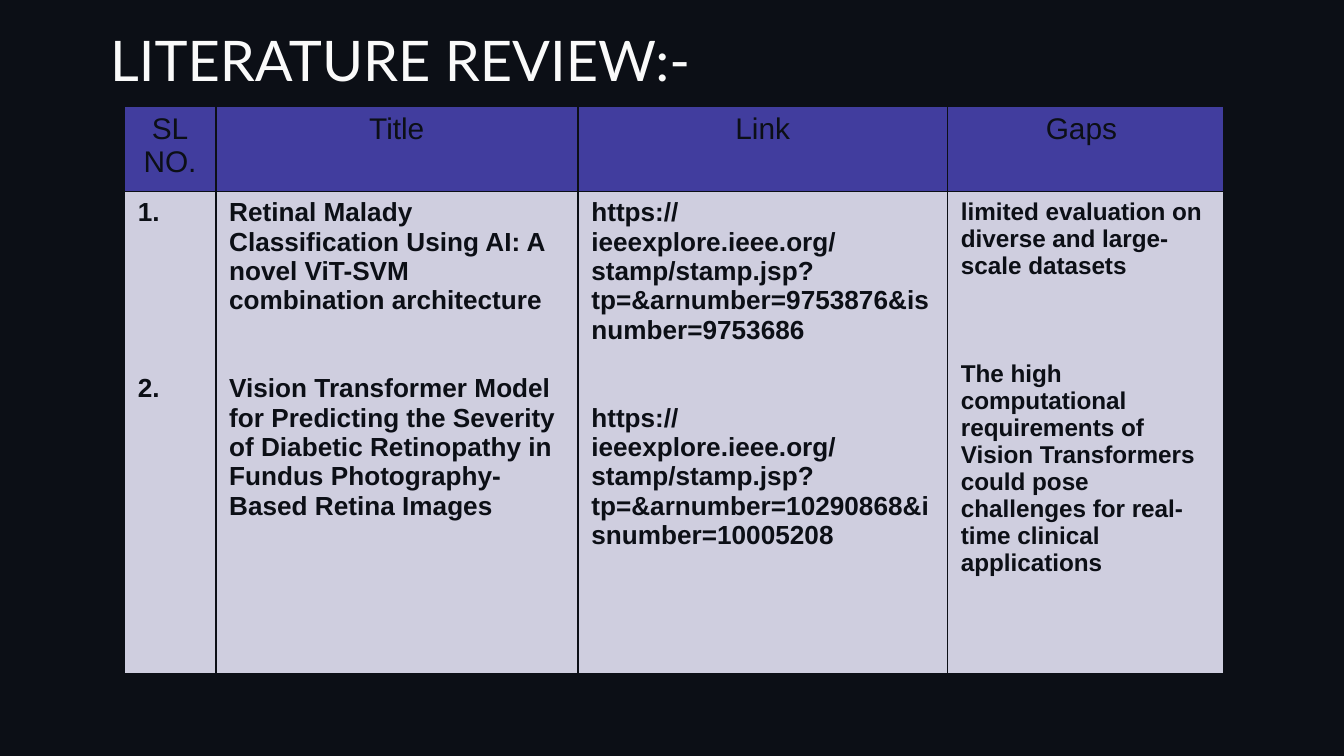
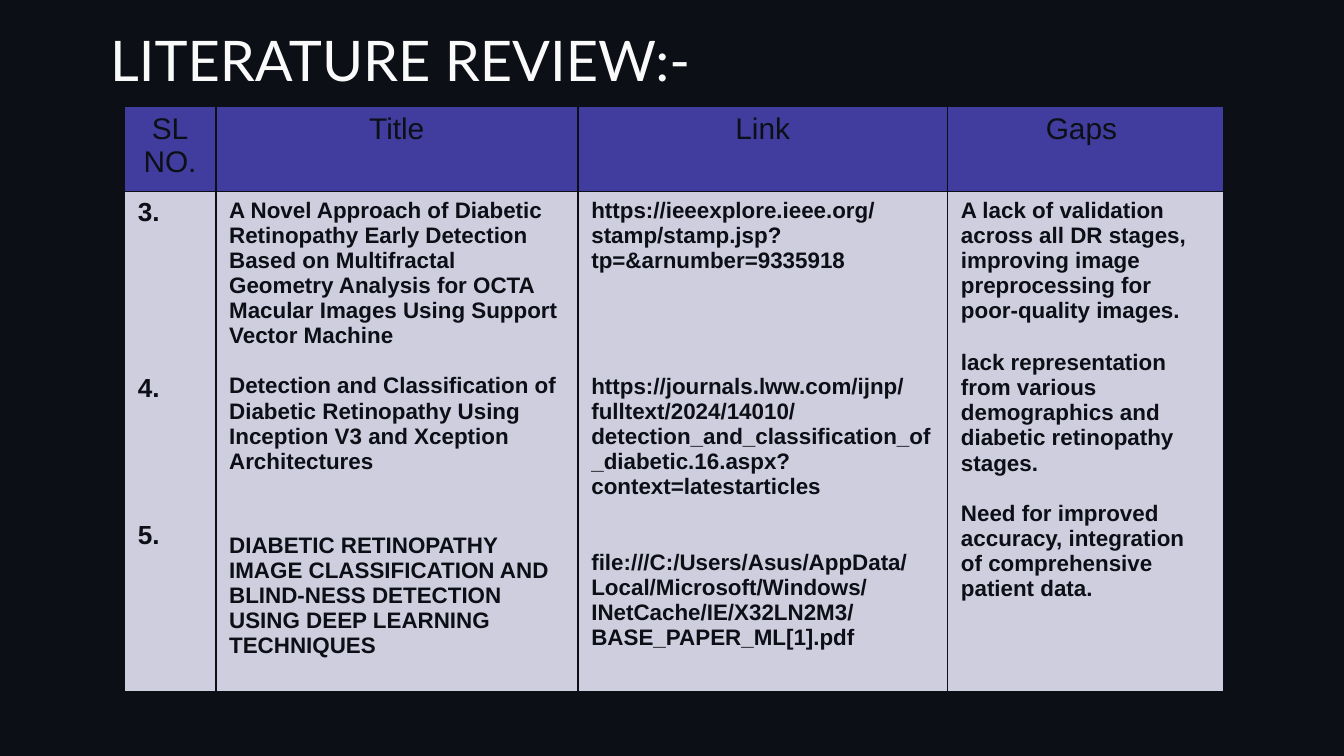
from lxml import etree
from pptx import Presentation
from pptx.dml.color import RGBColor
from pptx.enum import text
from pptx.oxml import ns
from pptx import util as u

WIDTH = u.Inches(10)
HEIGHT = u.Emu(WIDTH * 9 // 16)
NIGHT = RGBColor(0x0C, 0x0F, 0x16)
WHITE = RGBColor(0xFA, 0xFA, 0xFA)
INDIGO = RGBColor(0x41, 0x3D, 0x9E)
LILAC = RGBColor(0xCF, 0xCE, 0xDF)

HEADING = "LITERATURE REVIEW:-"
HEADERS = ["SL\nNO.", "Title", "Link", "Gaps "]
COLUMNS = [6.8, 26.95, 27.5, 20.55]
HEADER_ROW = 10.5

FIRST_PAPERS = [
    (14, [(0, "1."), (78.6, "2.")]),
    (14, [
        (0, "Retinal Malady Classification Using AI: A novel ViT-SVM "
            "combination architecture"),
        (31.4, "Vision Transformer Model for Predicting the Severity of Diabetic "
               "Retinopathy in Fundus Photography-Based Retina Images"),
    ]),
    (14, [
        (0, "https://ieeexplore.ieee.org/stamp/stamp.jsp?"
            "tp=&arnumber=9753876&isnumber=9753686"),
        (31.4, "https://ieeexplore.ieee.org/stamp/stamp.jsp?"
               "tp=&arnumber=10290868&isnumber=10005208"),
    ]),
    (13, [
        (0, "limited evaluation on diverse and large-scale datasets"),
        (43.4, "The high computational requirements of Vision Transformers could "
               "pose challenges for real-time clinical applications"),
    ]),
]
LATER_PAPERS = [
    (14, [(0, "3."), (78.6, "4."), (63, "5.")]),
    (12, [
        (0, "A Novel Approach of Diabetic Retinopathy Early Detection Based on "
            "Multifractal Geometry Analysis for OCTA Macular Images Using Support "
            "Vector Machine"),
        (13.4, "Detection and Classification of Diabetic Retinopathy Using "
               "Inception V3 and Xception Architectures"),
        (31.5, "DIABETIC RETINOPATHY IMAGE CLASSIFICATION AND BLIND-NESS "
               "DETECTION USING DEEP LEARNING TECHNIQUES"),
    ]),
    (12, [
        (0, "https://ieeexplore.ieee.org/stamp/stamp.jsp?tp=&arnumber=9335918"),
        (54, "https://journals.lww.com/ijnp/fulltext/2024/14010/"
             "detection_and_classification_of_diabetic.16.aspx?"
             "context=latestarticles"),
        (27, "file:///C:/Users/Asus/AppData/Local/Microsoft/Windows/INetCache/"
             "IE/X32LN2M3/BASE_PAPER_ML[1].pdf"),
    ]),
    (12, [
        (0, "A lack of validation across all DR stages, improving image "
            "preprocessing for poor-quality images."),
        (14.4, "lack representation from various demographics and diabetic "
               "retinopathy stages."),
        (13.4, "Need for improved accuracy, integration of comprehensive "
               "patient data."),
    ]),
]


def across(percent):
    """Return a percentage of the slide width."""
    return u.Emu(int(WIDTH * percent / 100))


def down(percent):
    """Return a percentage of the slide height."""
    return u.Emu(int(HEIGHT * percent / 100))


def style_runs(p, name, size, color, bold=False):
    """Apply one font to every run of a paragraph."""
    for r in p.runs:
        r.font.name, r.font.size, r.font.bold = name, u.Pt(size), bold
        r.font.color.rgb = color


def add_title(slide):
    """Add the heading above the table."""
    tf = slide.shapes.add_textbox(across(7.22), down(2.2),
                                  across(84.3), down(11.2)).text_frame
    tf.word_wrap = True
    tf.vertical_anchor = text.MSO_ANCHOR.MIDDLE
    tf.margin_left = tf.margin_right = u.Inches(0.1)
    tf.margin_top = tf.margin_bottom = u.Inches(0.1)
    tf.text = HEADING
    style_runs(tf.paragraphs[0], "Lato", 30, WHITE)


def paint_cell(cell, fill):
    """Draw the borders of a cell and fill it."""
    tc_pr = cell._tc.get_or_add_tcPr()
    for side in "LRTB":
        line = etree.SubElement(tc_pr, ns.qn(f"a:ln{side}"), w=str(u.Pt(1)))
        solid = etree.SubElement(line, ns.qn("a:solidFill"))
        etree.SubElement(solid, ns.qn("a:srgbClr"), val=str(NIGHT))
    cell.fill.solid()
    cell.fill.fore_color.rgb = fill


def fill_header(cell, label):
    """Write a centred column label."""
    paint_cell(cell, INDIGO)
    p = cell.text_frame.paragraphs[0]
    p.text = label
    p.alignment = text.PP_ALIGN.CENTER
    style_runs(p, "Arial", 16, NIGHT)


def fill_body(cell, size, entries):
    """Write (space before, words) entries, one paragraph each."""
    paint_cell(cell, LILAC)
    tf = cell.text_frame
    for i, (gap, words) in enumerate(entries):
        p = tf.add_paragraph() if i else tf.paragraphs[0]
        p.text = words
        if gap:
            p.space_before = u.Pt(gap)
        style_runs(p, "Arial", size, NIGHT, bold=True)


def add_papers(slide, papers, body_row):
    """Add the table of reviewed papers."""
    table = slide.shapes.add_table(
        2, len(COLUMNS), across(9.25), down(14.05),
        across(sum(COLUMNS)), down(HEADER_ROW + body_row)).table
    table.first_row = table.horz_banding = False
    table.rows[0].height, table.rows[1].height = down(HEADER_ROW), down(body_row)
    for i, (share, label, (size, entries)) in enumerate(
            zip(COLUMNS, HEADERS, papers)):
        table.columns[i].width = across(share)
        fill_header(table.cell(0, i), label)
        fill_body(table.cell(1, i), size, entries)


def main():
    """Build the literature review slides."""
    prs = Presentation()
    prs.slide_width, prs.slide_height = WIDTH, HEIGHT
    for papers, body_row in ((FIRST_PAPERS, 63.8), (LATER_PAPERS, 63.3)):
        slide = prs.slides.add_slide(prs.slide_layouts[6])
        slide.background.fill.solid()
        slide.background.fill.fore_color.rgb = NIGHT
        add_title(slide)
        add_papers(slide, papers, body_row)
    prs.save("out.pptx")


if __name__ == "__main__":
    main()
